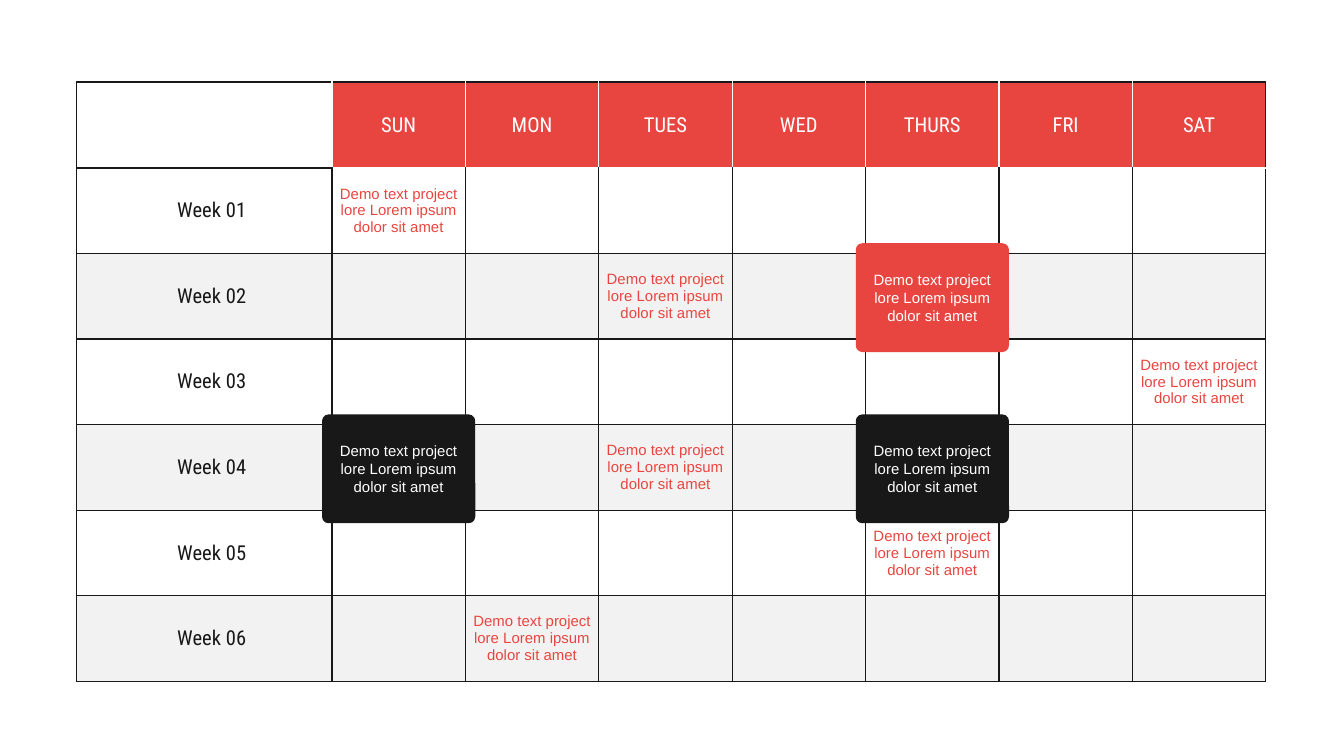
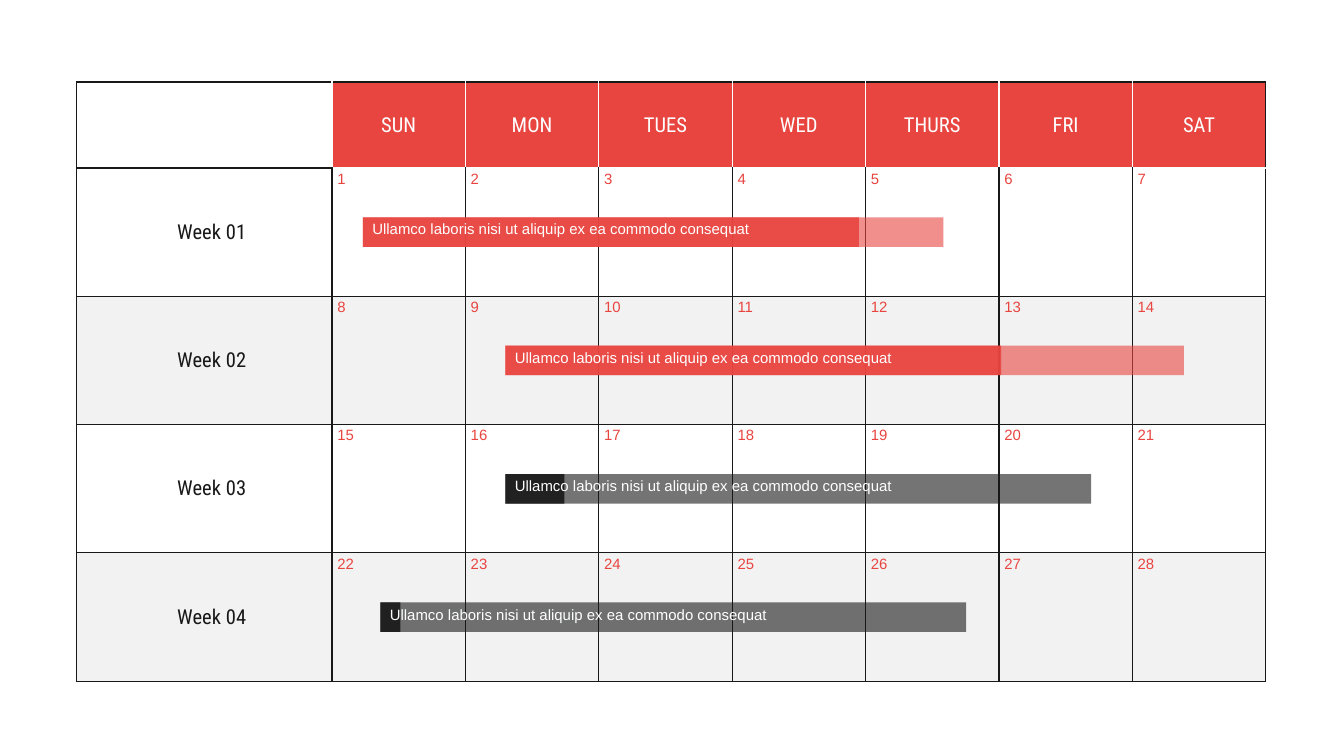
from collections import namedtuple

from lxml import etree
from pptx import Presentation
from pptx.dml.color import RGBColor
from pptx.enum.shapes import MSO_SHAPE as Shape
from pptx.enum.text import MSO_ANCHOR as Anchor, PP_ALIGN as Align
from pptx.oxml.ns import qn
from pptx.util import Inches, Pt

RED = RGBColor(0xE9, 0x45, 0x40)
BLACK = RGBColor(0x19, 0x18, 0x18)
WHITE = RGBColor(0xFE, 0xFF, 0xFF)
GREY = RGBColor(0xE7, 0xE7, 0xE7)

HEADING_FONT = "Roboto Condensed"
BODY_FONT = "Arial"
DAYS = ["SUN", "MON", "TUES", "WED", "THURS", "FRI", "SAT"]
NOTE = "Demo text project lore Lorem ipsum dolor sit amet"
TASK = "Ullamco laboris nisi ut aliquip ex ea commodo consequat"

Box = namedtuple("Box", "left top width height")
CALENDAR = Box(Inches(0.57), Inches(0.61), Inches(8.85), Inches(4.46))
LABEL_WIDTH = Inches(1.9)
HEADER_HEIGHT = Inches(0.64)
SIDE_INSET, EDGE_INSET = Inches(0.04), Inches(0.02)


def day_width(box):
    """Return the width of one day column."""
    return (box.width - LABEL_WIDTH) // len(DAYS)


def week_height(box, weeks):
    """Return the height of one week row."""
    return (box.height - HEADER_HEIGHT) // weeks


def set_fill(fill, holder, color, opacity=100):
    """Fill with a solid colour, see-through when opacity is below 100."""
    fill.solid()
    fill.fore_color.rgb = color
    if opacity < 100:
        color_node = next(holder.iter(qn("a:srgbClr")))
        etree.SubElement(color_node, qn("a:alpha"), val=str(opacity * 1000))


def set_insets(target, left=SIDE_INSET, right=SIDE_INSET):
    """Set the inner margins of a cell or a text frame."""
    target.margin_left, target.margin_right = left, right
    target.margin_top = target.margin_bottom = EDGE_INSET


def write(text_frame, text, size, font_name, color, align):
    """Put one formatted paragraph into a text frame."""
    text_frame.text = text
    paragraph = text_frame.paragraphs[0]
    paragraph.alignment = align
    for run in paragraph.runs:
        run.font.size = Pt(size)
        run.font.name = font_name
        run.font.color.rgb = color


def set_borders(cell, **colors):
    """Draw the four borders of a cell, black unless a side is given a colour."""
    properties = cell._tc.get_or_add_tcPr()
    for position, side in enumerate("LRTB"):
        line = etree.Element(qn(f"a:ln{side}"), w=str(Pt(0.75)))
        solid = etree.SubElement(line, qn("a:solidFill"))
        etree.SubElement(solid, qn("a:srgbClr"), val=str(colors.get(side, BLACK)))
        properties.insert(position, line)


def style_header(cell, column):
    """Format one cell of the weekday row."""
    if column == 0:
        cell.fill.background()
        set_borders(cell, R=WHITE)
        return
    set_fill(cell.fill, cell._tc, RED)
    write(cell.text_frame, DAYS[column - 1], 11, HEADING_FONT, WHITE, Align.CENTER)
    last = column == len(DAYS)
    set_borders(cell, L=WHITE, R=BLACK if last else WHITE, B=WHITE)


def style_week_cell(cell, week, column, text, align):
    """Format one cell of a week row."""
    if week % 2 == 0:
        set_fill(cell.fill, cell._tc, GREY, 50)
    else:
        cell.fill.background()
    if column == 0:
        set_insets(cell, left=Inches(0.15))
        write(cell.text_frame, f"Week {week:02}", 11, HEADING_FONT, BLACK, Align.CENTER)
    elif text:
        write(cell.text_frame, text, 8, BODY_FONT, RED, align)
    set_borders(cell, T=WHITE if week == 1 and column else BLACK)


def add_calendar(slide, box, weeks, entries, align, anchor):
    """Add the week table; entries maps (week, day) to the text of that day."""
    frame = slide.shapes.add_table(weeks + 1, len(DAYS) + 1, *box)
    table = frame.table
    table.first_row = table.horz_banding = False
    for column, table_column in enumerate(table.columns):
        table_column.width = day_width(box) if column else LABEL_WIDTH
    for week, table_row in enumerate(table.rows):
        table_row.height = week_height(box, weeks) if week else HEADER_HEIGHT
        for column, cell in enumerate(table_row.cells):
            set_insets(cell)
            heading = week == 0 or column == 0
            cell.vertical_anchor = Anchor.MIDDLE if heading else anchor
            if week == 0:
                style_header(cell, column)
            else:
                text = entries.get((week, column))
                style_week_cell(cell, week, column, text, align)


def add_block(shapes, kind, box, color, opacity=100):
    """Add a plain filled shape without outline or shadow."""
    shape = shapes.add_shape(kind, *box)
    shape.shadow.inherit = False
    shape.line.fill.background()
    set_fill(shape.fill, shape.element, color, opacity)
    return shape


def add_card(slide, box, weeks, week, day, color):
    """Add a rounded card centred over one day of the calendar."""
    width, height = Inches(1.14), Inches(0.81)
    center = box.left + LABEL_WIDTH + day_width(box) * (day - 0.5)
    middle = box.top + HEADER_HEIGHT + week_height(box, weeks) * (week - 0.5)
    left, top = int(center - width / 2), int(middle - height / 2) + Inches(0.01)
    card = add_block(slide.shapes, Shape.ROUNDED_RECTANGLE, Box(left, top, width, height), color)
    card.adjustments[0] = 0.06
    text_frame = card.text_frame
    text_frame.word_wrap = True
    text_frame.vertical_anchor = Anchor.MIDDLE
    set_insets(text_frame, EDGE_INSET, EDGE_INSET)
    write(text_frame, NOTE, 8, BODY_FONT, WHITE, Align.CENTER)


def add_task_bar(slide, box, weeks, week, offset, length, done, color):
    """Add a progress bar with its title across the middle of a week."""
    height = Inches(0.22)
    row_height = week_height(box, weeks)
    left = box.left + Inches(offset)
    top = box.top + HEADER_HEIGHT + row_height * (week - 1) + (row_height - height) // 2
    shapes = slide.shapes.add_group_shape().shapes
    for extent, opacity in ((length, 60), (done, 90)):
        add_block(shapes, Shape.RECTANGLE, Box(left, top, Inches(extent), height), color, opacity)
    title = shapes.add_textbox(left + Inches(0.03), top, Inches(3.11), Inches(0.18))
    title.text_frame.word_wrap = True
    set_insets(title.text_frame)
    write(title.text_frame, TASK, 8, BODY_FONT, WHITE, Align.LEFT)


def build_notes_slide(slide, box):
    """Build the six-week calendar with notes and highlighted cards."""
    weeks = 6
    noted_days = [(1, 1), (2, 3), (3, 7), (4, 3), (5, 5), (6, 2)]
    entries = dict.fromkeys(noted_days, NOTE)
    add_calendar(slide, box, weeks, entries, Align.CENTER, Anchor.MIDDLE)
    for week, day, color in ((2, 5, RED), (4, 1, BLACK), (4, 5, BLACK)):
        add_card(slide, box, weeks, week, day, color)


def build_tasks_slide(slide, box):
    """Build the four-week calendar with dates and progress bars."""
    weeks = 4
    entries = {
        (week, day): str((week - 1) * len(DAYS) + day)
        for week in range(1, weeks + 1)
        for day in range(1, len(DAYS) + 1)
    }
    add_calendar(slide, box, weeks, entries, Align.LEFT, Anchor.TOP)
    tasks = [
        (2.13, 4.32, 3.69, RED),
        (3.19, 5.05, 3.69, RED),
        (3.19, 4.36, 0.44, BLACK),
        (2.26, 4.36, 0.15, BLACK),
    ]
    for week, task in enumerate(tasks, start=1):
        add_task_bar(slide, box, weeks, week, *task)


def main():
    """Create the presentation and save it."""
    presentation = Presentation()
    presentation.slide_width = Inches(10)
    presentation.slide_height = presentation.slide_width * 9 // 16
    blank = presentation.slide_layouts[6]
    for build in (build_notes_slide, build_tasks_slide):
        build(presentation.slides.add_slide(blank), CALENDAR)
    presentation.save("out.pptx")


if __name__ == "__main__":
    main()
